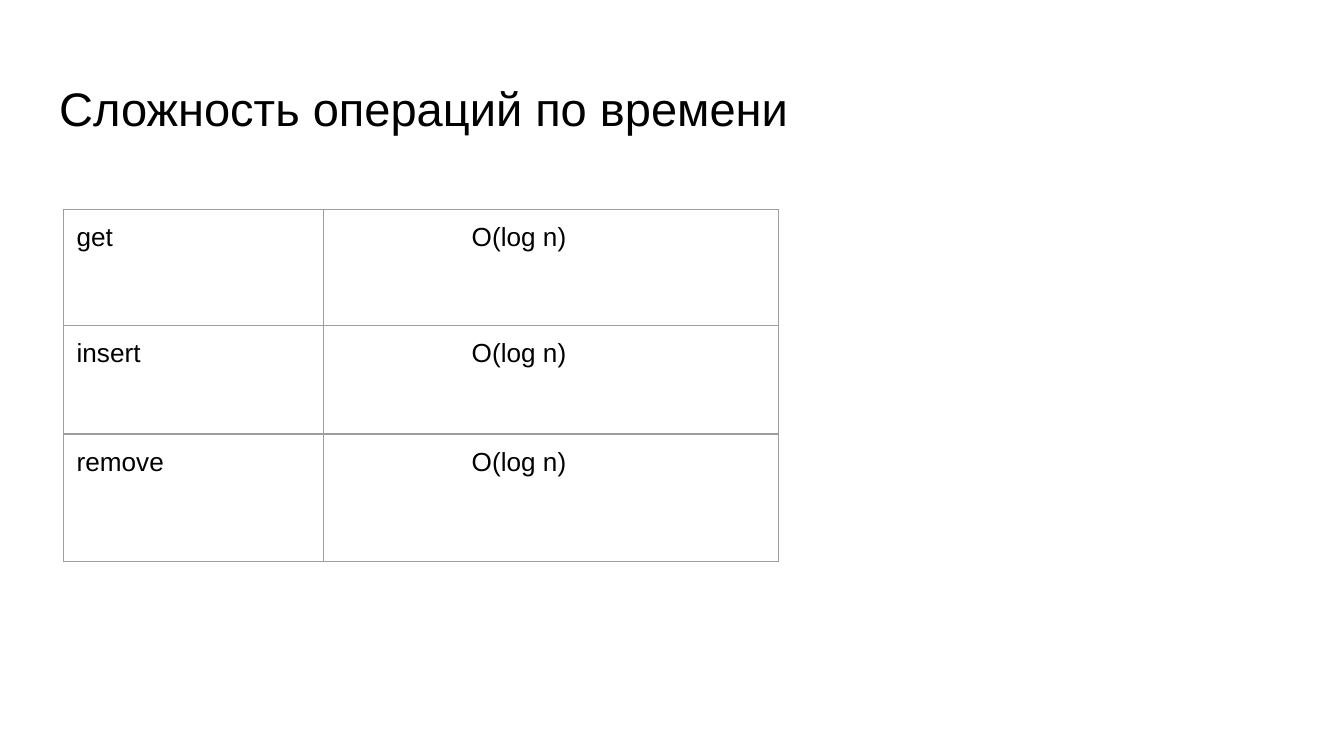
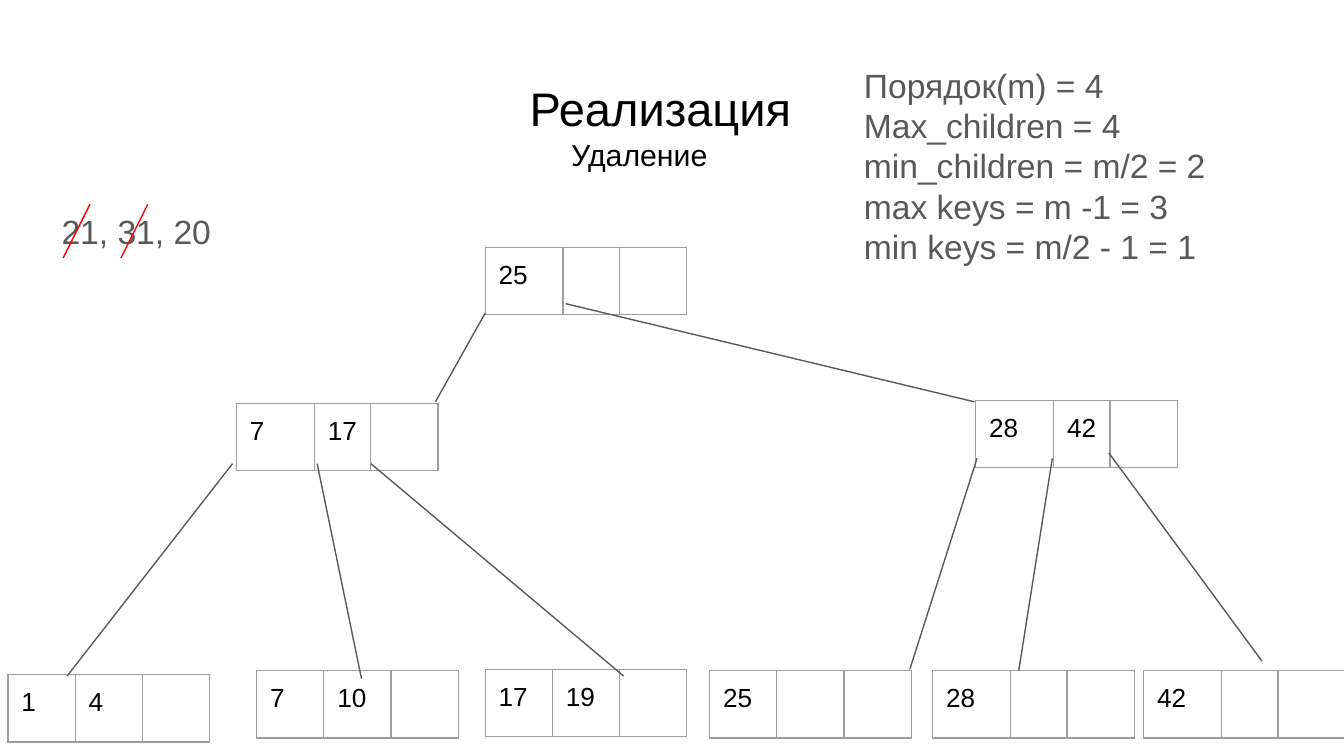
from lxml import etree
from pptx import Presentation
from pptx import util as u
from pptx.dml.color import RGBColor
from pptx.enum import shapes, text
from pptx.oxml.ns import qn

PX = 9144  # 100 px to the inch
FONT = "Arial"
BLACK, GREY, BORDER, RED = "000000", "595959", "9E9E9E", "FF0000"
MARGIN = 10 * PX
FRAME = {"margin_left": MARGIN, "margin_right": MARGIN, "margin_top": MARGIN,
         "margin_bottom": MARGIN, "word_wrap": True,
         "vertical_anchor": text.MSO_ANCHOR.TOP}


def write_lines(frame, lines, color):
    """Fill a text frame with (wording, point size, left indent in px) lines."""
    for name, value in FRAME.items():
        setattr(frame, name, value)
    for number, (wording, size, indent) in enumerate(lines):
        line = frame.add_paragraph() if number else frame.paragraphs[0]
        line.alignment = text.PP_ALIGN.LEFT
        line.space_before = u.Pt(0)
        if indent:
            line._p.get_or_add_pPr().set("marL", str(indent * PX))
        run = line.add_run()
        run.text = wording
        run.font.name, run.font.size = FONT, u.Pt(size)
        run.font.color.rgb = RGBColor.from_string(color)


def add_grid(slide, left, top, widths, heights, rows, indents):
    """Add an unfilled table with thin borders; indents holds one px value per column."""
    grid = slide.shapes.add_table(len(heights), len(widths), left * PX, top * PX,
                                  sum(widths) * PX, sum(heights) * PX).table
    grid.first_row = grid.horz_banding = False
    for column, width in zip(grid.columns, widths):
        column.width = width * PX
    for row, height, entries in zip(grid.rows, heights, rows):
        row.height = height * PX
        for cell, entry, indent in zip(row.cells, entries, indents):
            for side in ("left", "right", "top", "bottom"):
                setattr(cell, "margin_" + side, MARGIN)
            if entry:
                write_lines(cell.text_frame, [(entry, 14, indent)], BLACK)
            props = cell._tc.get_or_add_tcPr()
            for edge in ("a:lnL", "a:lnR", "a:lnT", "a:lnB"):
                border = etree.SubElement(props, qn(edge), w=str(u.Pt(0.75)))
                fill = etree.SubElement(border, qn("a:solidFill"))
                etree.SubElement(fill, qn("a:srgbClr"), val=BORDER)
            cell.fill.background()


deck = Presentation()
deck.slide_width = 1000 * PX
deck.slide_height = deck.slide_width * 9 // 16

titles = [
    [("Сложность операций по времени", 25.2, 0)],
    [("Реализация", 25.2, 350), ("Удаление", 16.2, 381)],
]
for title_lines in titles:
    slide = deck.slides.add_slide(deck.slide_layouts[5])
    title = slide.shapes.title
    title.left, title.top, title.width, title.height = 34 * PX, 49 * PX, 932 * PX, 63 * PX
    write_lines(title.text_frame, title_lines, BLACK)
    title.text_frame.auto_size = text.MSO_AUTO_SIZE.NONE
    title.text_frame.paragraphs[0].space_before = u.Pt(2)
complexity, deletion = deck.slides

# Time complexity
operations = [(name, "O(log n)") for name in ("get", "insert", "remove")]
add_grid(complexity, 47, 156, (194, 338), (86, 81, 95), operations, (0, 100))

# Deletion: tree parameters and the keys to delete
parameters = ["Порядок(m) = 4", "Max_children = 4", "min_children = m/2 = 2",
              "max keys = m -1 = 3", "min keys = m/2 - 1 = 1"]
for left, top, width, height, lines in [(633, 38, 342, 172, parameters),
                                        (36, 147, 316, 50, ["21, 31, 20"])]:
    note = deletion.shapes.add_textbox(left * PX, top * PX, width * PX, height * PX)
    write_lines(note.text_frame, [(line, 18, 0) for line in lines], GREY)

# Tree nodes, three key slots each
EVEN, UNEVEN = (50, 50, 50), (58, 42, 50)
nodes = [
    (361, 184, UNEVEN, ("25", "", "")),
    (176, 300, UNEVEN, ("7", "17", "")),
    (726, 298, UNEVEN, ("28", "42", "")),
    (6, 502, EVEN, ("1", "4", "")),
    (191, 499, EVEN, ("7", "10", "")),
    (361, 498, EVEN, ("17", "19", "")),
    (528, 499, EVEN, ("25", "", "")),
    (694, 499, UNEVEN, ("28", "", "")),
    (851, 499, UNEVEN, ("42", "", "")),
]
for left, top, slots, keys in nodes:
    add_grid(deletion, left, top, slots, (42,), [keys], (0, 0, 0))

# Branches from parent to child, then strokes through the deleted keys
branches = [
    (361, 233, 324, 299), (421, 226, 725, 299),
    (173, 345, 50, 503), (236, 345, 269, 505), (276, 345, 464, 503),
    (727, 341, 677, 498), (783, 341, 758, 499), (825, 337, 939, 492),
]
strokes = [(left, 192, left + 20, 152) for left in (47, 90)]
for color, group in ((GREY, branches), (RED, strokes)):
    for ends in group:
        line = deletion.shapes.add_connector(shapes.MSO_CONNECTOR.STRAIGHT,
                                             *(value * PX for value in ends))
        line.line.width = u.Pt(0.75)
        line.line.color.rgb = RGBColor.from_string(color)
        etree.SubElement(line._element.spPr, qn("a:effectLst"))

deck.save("out.pptx")
